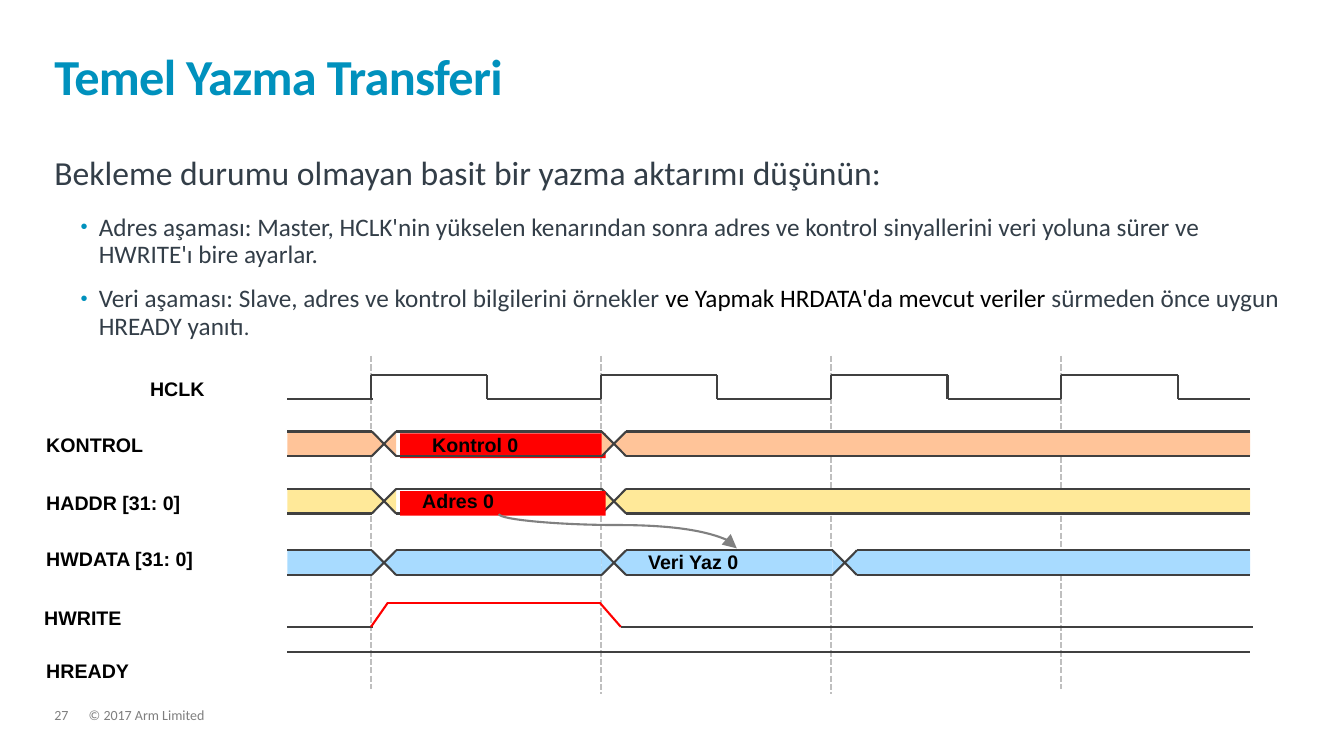
from lxml.etree import SubElement
from pptx import Presentation
from pptx.dml.color import RGBColor
from pptx.enum.dml import MSO_LINE_DASH_STYLE as Dash
from pptx.enum.shapes import MSO_CONNECTOR as Connector, MSO_SHAPE as Shape
from pptx.enum.text import MSO_ANCHOR as Anchor
from pptx.oxml.ns import qn
from pptx.util import Pt

colour = RGBColor.from_string
DARK, RED, BLUE, SLATE = "404040", "FF0000", "0091BD", "333E48"

presentation = Presentation()
presentation.slide_width = Pt(960)
presentation.slide_height = Pt(540)
slide = presentation.slides.add_slide(presentation.slide_layouts[6])


def write(text, left, top, width, height, size=14, font="Arial", color="000000", bold=False,
          inset=(0, 0), anchor=Anchor.TOP, line_spacing=1.0, space_after=0, tracking=0):
    frame = slide.shapes.add_textbox(Pt(left), Pt(top), Pt(width), Pt(height)).text_frame
    frame.word_wrap = True
    frame.vertical_anchor = anchor
    frame.margin_left = frame.margin_right = Pt(inset[0])
    frame.margin_top = frame.margin_bottom = Pt(inset[1])
    paragraph = frame.paragraphs[0]
    paragraph.line_spacing = line_spacing
    paragraph.space_after = Pt(space_after)
    run = paragraph.add_run()
    run.text = text
    run.font.size = Pt(size)
    run.font.name = font
    run.font.bold = bold
    run.font.color.rgb = colour(color)
    if tracking:
        run.font._element.set("spc", str(tracking))
    return frame


def draw_line(x1, y1, x2, y2, color=DARK, kind=Connector.STRAIGHT):
    connector = slide.shapes.add_connector(kind, Pt(x1), Pt(y1), Pt(x2), Pt(y2))
    connector.line.color.rgb = colour(color)
    connector.line.width = Pt(1.5)
    SubElement(connector._element.spPr, qn("a:effectLst"))
    return connector


write("© 2017 Arm Limited", 63.4, 506.2, 657, 10.8, size=10, font="Calibri", color="7F7F7F",
      line_spacing=0.9)
write("27", 38.9, 506.2, 24.5, 10.8, size=10, font="Calibri", color="7F7F7F", line_spacing=0.9)
write("Temel Yazma Transferi", 38.9, 23, 880.5, 52.6, size=36, font="Calibri", color=BLUE,
      bold=True, anchor=Anchor.BOTTOM, line_spacing=0.85, tracking=-50)

body = write("Bekleme durumu olmayan basit bir yazma aktarımı düşünün:", 38.9, 111.6, 880.5, 322,
             size=24, font="Calibri", color=SLATE, line_spacing=0.9, space_after=16)
bullets = [
    [("Adres aşaması: Master, HCLK'nin yükselen kenarından sonra adres ve kontrol sinyallerini "
      "veri yoluna sürer ve HWRITE'ı bire ayarlar.", SLATE, 18)],
    [("Veri aşaması: Slave, adres ve kontrol bilgilerini örnekler ", SLATE, 18),
     ("ve Yapmak HRDATA'da mevcut veriler ", "000000", 18),
     ("sürmeden önce uygun HREADY yanıtı", SLATE, 18),
     (".", SLATE, 16)],
]
for runs in bullets:
    paragraph = body.add_paragraph()
    paragraph.level = 1
    paragraph.line_spacing = 0.9
    paragraph.space_after = Pt(12)
    properties = paragraph._p.get_or_add_pPr()
    properties.set("marL", str(Pt(31.7)))
    properties.set("indent", str(Pt(-13)))
    SubElement(SubElement(properties, qn("a:buClr")), qn("a:srgbClr"), val=BLUE)
    SubElement(properties, qn("a:buSzPct"), val="80000")
    SubElement(properties, qn("a:buFont"), typeface="Arial")
    SubElement(properties, qn("a:buChar"), char="•")
    for text, color, size in runs:
        run = paragraph.add_run()
        run.text = text
        run.font.size = Pt(size)
        run.font.name = "Calibri"
        run.font.color.rgb = colour(color)

wave_left, wave_right = 205.2, 893
clock_edges = [265 + 164.4 * cycle for cycle in range(4)]
for edge, bottom in zip(clock_edges, (492.5, 495.4, 495.4, 492.5)):
    draw_line(edge, 254.2, edge, bottom, "BFBFBF").line.dash_style = Dash.SQUARE_DOT

bus_height, slope = 17.6, 8.7
first_cross, second_cross, third_cross = 274.3, 438.5, 603.4
buses = [
    (349.2, "FFE999", [first_cross, second_cross], 309.6, False),
    (393.1, "A8DBFF", [first_cross, second_cross, third_cross], None, True),
    (308.2, "FFC499", [first_cross, second_cross], 350.8, False),
]
for top, color, crossings, red_top, first_filled in buses:
    middle, bottom = top + bus_height / 2, top + bus_height
    bounds = [wave_left, *crossings, wave_right]
    blocks, lines = [], []
    if red_top:
        blocks.append((Shape.RECTANGLE, 285.8, red_top, 146.9, 0, RED))
    for index, (start, end) in enumerate(zip(bounds, bounds[1:])):
        left = start + slope if start in crossings else start
        right = end - slope if end in crossings else end
        if index != 1 or first_filled:
            blocks.append((Shape.RECTANGLE, left, top, right - left, 0, color))
        for tip, flat, rotation in ((start, left, 270), (end, right, 90)):
            if tip in crossings:
                triangle_left = (tip + flat - bus_height) / 2
                blocks.append((Shape.ISOSCELES_TRIANGLE, triangle_left, middle - slope / 2,
                               bus_height, rotation, color))
                lines += [(flat, top, tip, middle), (tip, middle, flat, bottom)]
        lines += [(left, top, right, top), (left, bottom, right, bottom)]
    for kind, left, block_top, width, rotation, fill in blocks:
        height = slope if rotation else bus_height
        shape = slide.shapes.add_shape(kind, Pt(left), Pt(block_top), Pt(width), Pt(height))
        shape.rotation = rotation
        shape.shadow.inherit = False
        shape.fill.solid()
        shape.fill.fore_color.rgb = colour(fill)
        shape.line.fill.background()
    for ends in lines:
        draw_line(*ends)

clock_high, clock_low = 267.8, 285.1
draw_line(wave_left, clock_low, clock_edges[0] + 1.4, clock_low)
for rise, next_rise in zip(clock_edges, clock_edges[1:] + [wave_right]):
    fall = rise + 83
    draw_line(rise, clock_high, rise, clock_low)
    draw_line(rise, clock_high, fall, clock_high)
    draw_line(fall, clock_high, fall, clock_low)
    draw_line(fall, clock_low, next_rise, clock_low)

write_high, write_low = 430.6, 447.8
draw_line(wave_left, write_low, 266.4, write_low)
draw_line(265, write_low, 277, write_high, RED)
draw_line(276.5, write_high, 429, write_high, RED)
draw_line(428.5, write_high, 443.5, write_low, RED)
draw_line(443.5, write_low, 895, write_low)
draw_line(wave_left, 465.8, wave_right, 465.8)

labels = [
    ("HCLK", 100.1, 265.7, 76.3),
    ("KONTROL", 25.9, 306, 155.5),
    ("HADDR [31: 0]", 25.9, 347, 155.5),
    ("HWDATA [31: 0]", 25.9, 387.4, 155.5),
    ("HWRITE", 24.5, 429.1, 155.5),
    ("HREADY", 25.9, 467.3, 155.5),
    ("Kontrol 0", 301.7, 306, 129.6),
    ("Adres 0", 294.5, 345.6, 129.6),
    ("Veri Yaz 0", 455.8, 389.5, 142.6),
]
for text, left, top, width in labels:
    write(text, left, top, width, 24.5, bold=True, inset=(7.2, 3.6))

arrow = draw_line(453.6, 294.5, 429.1, 464.4, "808080", Connector.CURVE)
arrow_properties = arrow._element.spPr
arrow_properties.find(qn("a:xfrm")).set("rot", "16200000")
geometry = arrow_properties.find(qn("a:prstGeom"))
SubElement(geometry.find(qn("a:avLst")), qn("a:gd"), name="adj1", fmla="val 32100")
SubElement(arrow_properties.find(qn("a:ln")), qn("a:tailEnd"), type="triangle", w="lg", len="lg")

presentation.save("out.pptx")
